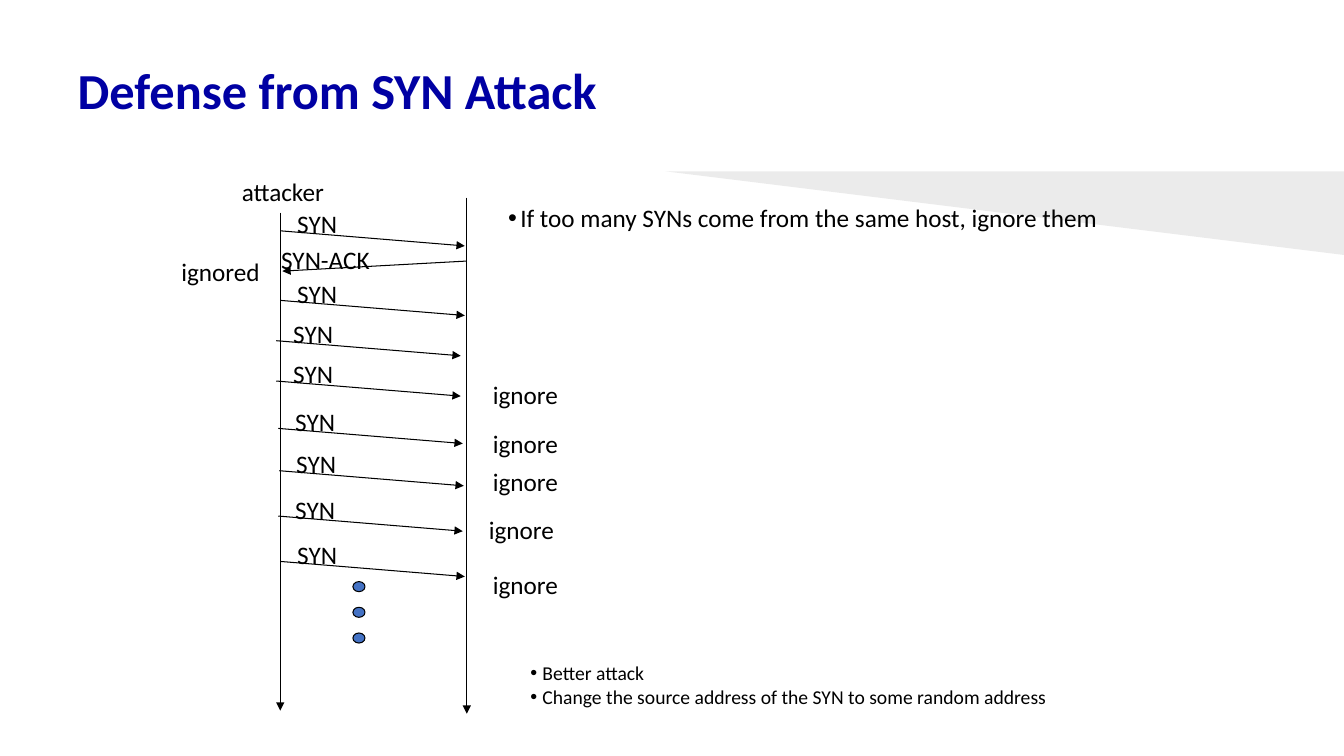
"""Build the slide on defending a host from a SYN attack."""
from lxml import etree
from pptx import Presentation
from pptx.dml.color import RGBColor
from pptx.enum.shapes import MSO_CONNECTOR, MSO_SHAPE
from pptx.enum.text import MSO_ANCHOR, MSO_AUTO_SIZE, PP_ALIGN
from pptx.oxml.ns import qn
from pptx.util import Inches, Pt

STRAIGHT = MSO_CONNECTOR.STRAIGHT
OVAL = MSO_SHAPE.OVAL
LEFT = PP_ALIGN.LEFT
TOP, MIDDLE = MSO_ANCHOR.TOP, MSO_ANCHOR.MIDDLE
NO_FIT = MSO_AUTO_SIZE.NONE

FONT = "Calibri"
COLORS = {"title": "0000A3", "ink": "000000", "dot": "4472C4"}

TITLE = "Defense from SYN Attack"
TITLE_AREA = (0.67, 0.3, 12, 1.25)
BULLET_LISTS = [
    ((4.94, 1.96, 6.12, 0.71), 18,
     ["If too many SYNs come from the same host, ignore them"]),
    ((5.16, 6.51, 5.37, 0.57), 14,
     ["Better attack",
      "Change the source address of the SYN to some random address"]),
]
WEDGE = [(6.6, 1.7), (13.33, 1.7), (13.33, 2.53)]

TIMELINES = [(2.78, 2.11, 2.78, 7.05), (4.63, 1.96, 4.63, 7.08)]
SYN_ACK_ARROW = (4.63, 2.59, 2.8, 2.69)
SYN_STARTS = [(2.78, 2.29), (2.78, 2.98), (2.74, 3.38), (2.74, 3.78),
              (2.76, 4.25), (2.77, 4.67), (2.76, 5.12), (2.78, 5.57)]
SYN_RUN, SYN_DROP = 1.83, 0.15
SYN_LABEL_SHIFT = (0.07, -0.27)
IGNORE_SPOTS = [(4.79, 3.71), (4.79, 4.2), (4.79, 4.58), (4.75, 5.05), (4.79, 5.6)]
LABELS = [("attacker", 2.3, 1.7), ("ignored", 1.7, 2.49), ("SYN-ACK", 2.69, 2.37)]
LABEL_WIDTHS = {"attacker": 1.03, "ignored": 0.99, "SYN-ACK": 1.09,
                "SYN": 0.6, "ignore": 0.86}
LABEL_HEIGHT = 0.4
DOT_LEFT, DOT_TOP, DOT_STEP, DOT_COUNT = 3.5, 5.77, 0.255, 3


def color(name):
    return RGBColor.from_string(COLORS[name])


def style(para, size, name="ink", bold=False):
    for span in para.runs:
        span.font.name = FONT
        span.font.size = Pt(size)
        span.font.bold = bold
        span.font.color.rgb = color(name)


def place(shape, area):
    shape.left, shape.top, shape.width, shape.height = map(Inches, area)


def add_title(page):
    title = page.shapes.title
    place(title, TITLE_AREA)
    frame = title.text_frame
    frame.text = TITLE
    frame.auto_size = NO_FIT
    frame.vertical_anchor = MIDDLE
    frame.margin_left = frame.margin_right = Inches(0.1)
    frame.margin_top = frame.margin_bottom = Inches(0.1)
    para = frame.paragraphs[0]
    para.alignment = LEFT
    para.line_spacing = 0.9
    style(para, 36, "title", True)


def add_wedge(page):
    points = [(Inches(x), Inches(y)) for x, y in WEDGE]
    builder = page.shapes.build_freeform(*points[0])
    builder.add_line_segments(points[1:])
    wedge = builder.convert_to_shape()
    wedge.shadow.inherit = False
    wedge.line.fill.background()
    wedge.fill.solid()
    wedge.fill.fore_color.rgb = color("ink")
    tint = wedge.fill._xPr.find(".//" + qn("a:srgbClr"))
    etree.SubElement(tint, qn("a:alpha"), val="8000")


def fill_list(box, area, size, lines):
    place(box, area)
    frame = box.text_frame
    frame.text = "\n".join(lines)
    frame.auto_size = NO_FIT
    frame.word_wrap = True
    frame.vertical_anchor = TOP
    for para in frame.paragraphs:
        para.space_before = Pt(0)
        settings = para._p.get_or_add_pPr()
        settings.set("marL", str(Inches(0.12)))
        settings.set("indent", str(Inches(-0.12)))
        etree.SubElement(settings, qn("a:buFont"), typeface="Arial")
        etree.SubElement(settings, qn("a:buChar"), char="•")
        style(para, size)


def add_arrow(page, start_x, start_y, end_x, end_y):
    ends = map(Inches, (start_x, start_y, end_x, end_y))
    arrow = page.shapes.add_connector(STRAIGHT, *ends)
    arrow.line.color.rgb = color("ink")
    arrow.line.width = Pt(0.75)
    etree.SubElement(arrow.line._get_or_add_ln(), qn("a:tailEnd"), type="triangle")
    etree.SubElement(arrow._element.spPr, qn("a:effectLst"))


def add_label(page, text, left, top):
    area = (left, top, LABEL_WIDTHS[text], LABEL_HEIGHT)
    box = page.shapes.add_textbox(*map(Inches, area))
    box.text_frame.text = text
    box.text_frame.word_wrap = False
    style(box.text_frame.paragraphs[0], 18)


def add_dot(page, top):
    dot = page.shapes.add_shape(OVAL, *map(Inches, (DOT_LEFT, top, 0.12, 0.1)))
    dot.shadow.inherit = False
    dot.fill.solid()
    dot.fill.fore_color.rgb = color("dot")
    dot.line.color.rgb = color("ink")
    dot.line.width = Pt(0.75)


def main():
    deck = Presentation()
    deck.slide_width, deck.slide_height = Inches(13.33), Inches(7.5)
    page = deck.slides.add_slide(deck.slide_layouts.get_by_name("Two Content"))
    add_title(page)
    add_wedge(page)
    for box, (area, size, lines) in zip(list(page.placeholders)[1:3], BULLET_LISTS):
        wedge_first = page.shapes._spTree
        wedge_first.append(box._element)
        fill_list(box, area, size, lines)
    for ends in TIMELINES + [SYN_ACK_ARROW]:
        add_arrow(page, *ends)
    for x, y in SYN_STARTS:
        add_arrow(page, x, y, x + SYN_RUN, y + SYN_DROP)
        add_label(page, "SYN", x + SYN_LABEL_SHIFT[0], y + SYN_LABEL_SHIFT[1])
    for text, left, top in LABELS:
        add_label(page, text, left, top)
    for left, top in IGNORE_SPOTS:
        add_label(page, "ignore", left, top)
    for index in range(DOT_COUNT):
        add_dot(page, DOT_TOP + index * DOT_STEP)
    deck.save("out.pptx")


if __name__ == "__main__":
    main()
